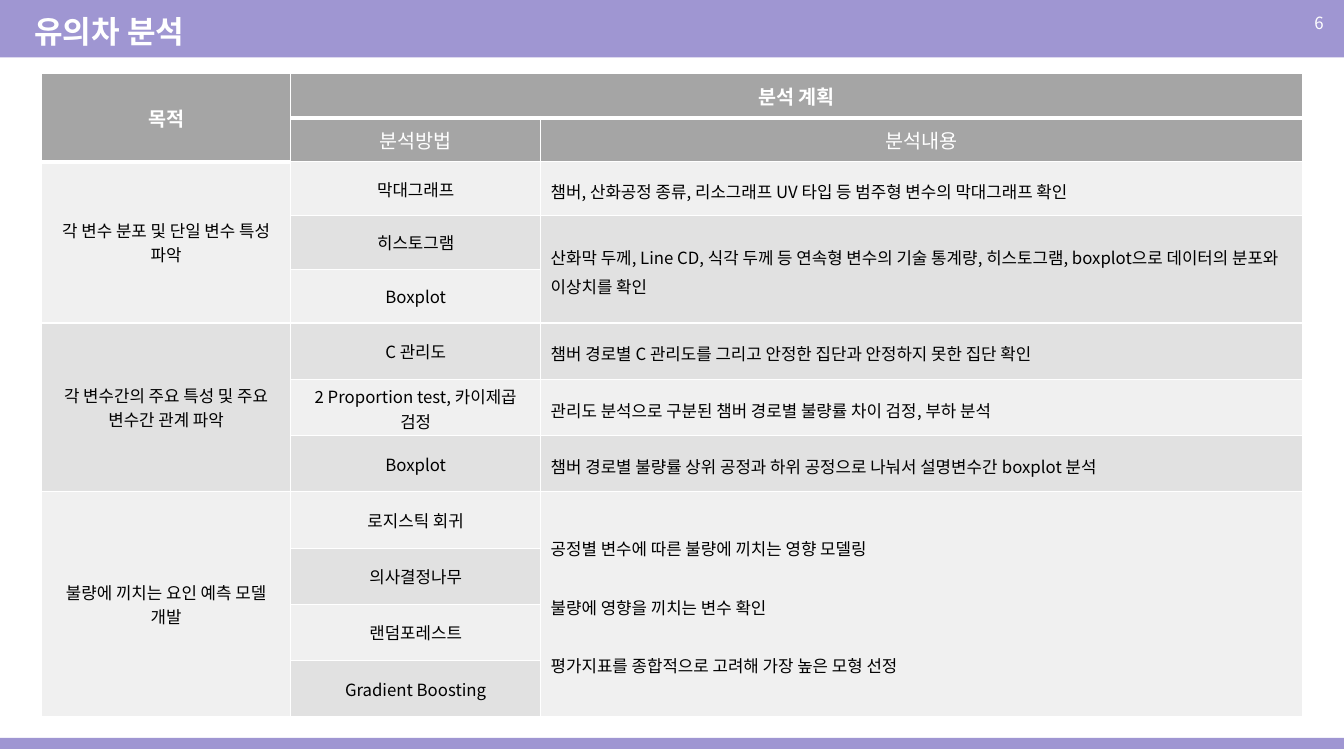
import pptx
import pptx.dml.color
import pptx.enum.text
import pptx.oxml
import pptx.oxml.ns
import pptx.util
from lxml import etree

Pt = pptx.util.Pt
ALIGN = pptx.enum.text.PP_ALIGN
ANCHOR = pptx.enum.text.MSO_ANCHOR
qn = pptx.oxml.ns.qn

FONT = "Noto Sans CJK KR"
PURPLE, WHITE, BLACK = "9F96D2", "FFFFFF", "000000"
GRAY, STRIPES = "A5A5A5", ("F0F0F0", "E1E1E1")

COLUMNS = (178, 178.5, 544.3)
ROWS = (31.5,) * 2 + (38.4,) * 3 + (40.2,) * 7
HEADERS = {
    (0, 0, 2, 1): "목적",
    (0, 1, 1, 2): "분석 계획",
    (1, 1, 1, 1): "분석방법",
    (1, 2, 1, 1): "분석내용",
}
PURPOSES = {
    (2, 0, 3, 1): "각 변수 분포 및 단일 변수 특성 파악",
    (5, 0, 3, 1): "각 변수간의 주요 특성 및 주요 변수간 관계 파악",
    (8, 0, 4, 1): "불량에 끼치는 요인 예측 모델 개발",
}
METHODS = (
    "막대그래프", "히스토그램", "Boxplot", "C 관리도",
    "2 Proportion test, 카이제곱 검정", "Boxplot", "로지스틱 회귀",
    "의사결정나무", "랜덤포레스트", "Gradient Boosting",
)
DETAILS = {
    (2, 2, 1, 1): ["챔버, 산화공정 종류, 리소그래프 UV 타입 등 범주형 변수의 막대그래프 확인"],
    (3, 2, 2, 1): ["산화막 두께, Line CD, 식각 두께 등 연속형 변수의 기술 통계량, "
                   "히스토그램, boxplot으로 데이터의 분포와 이상치를 확인"],
    (5, 2, 1, 1): ["챔버 경로별 C 관리도를 그리고 안정한 집단과 안정하지 못한 집단 확인"],
    (6, 2, 1, 1): ["관리도 분석으로 구분된 챔버 경로별 불량률 차이 검정, 부하 분석"],
    (7, 2, 1, 1): ["챔버 경로별 불량률 상위 공정과 하위 공정으로 나눠서 설명변수간 boxplot 분석"],
    (8, 2, 4, 1): ["공정별 변수에 따른 불량에 끼치는 영향 모델링",
                   "불량에 영향을 끼치는 변수 확인",
                   "평가지표를 종합적으로 고려해 가장 높은 모형 선정"],
}


def rgb(value):
    return pptx.dml.color.RGBColor.from_string(value)


def apply(obj, values):
    for name, value in values.items():
        setattr(obj, name, value)


def write(tf, lines, size, color, bold=False, gap=0, **paragraph):
    for i, line in enumerate(lines):
        p = tf.add_paragraph() if i else tf.paragraphs[0]
        apply(p, paragraph)
        if i:
            p.space_before = Pt(gap)
        r = p.add_run()
        r.text = line
        apply(r.font, {"name": FONT, "size": Pt(size), "bold": bold})
        r.font.color.rgb = rgb(color)
        r.font._element.get_or_add_latin().addnext(
            pptx.oxml.parse_xml(f'<a:ea {pptx.oxml.ns.nsdecls("a")} typeface="{FONT}"/>'))


def add_band(s, left, top, width, height):
    sp = s.shapes.add_shape(1, Pt(left), Pt(top), Pt(width), Pt(height))
    sp.shadow.inherit = False
    sp.fill.solid()
    sp.fill.fore_color.rgb = rgb(PURPLE)
    sp.line.fill.background()
    return sp


def add_header(s, left, top, width, height):
    band = add_band(s, left, top, width, height)
    title = s.shapes.title
    title.element.addprevious(band.element)
    apply(title, {"left": Pt(left + 17.3), "top": Pt(top + 11.5),
                  "width": Pt(width - 101), "height": Pt(27.4)})
    apply(title.text_frame, {"vertical_anchor": ANCHOR.MIDDLE, "word_wrap": True,
                             "auto_size": pptx.enum.text.MSO_AUTO_SIZE.NONE})
    write(title.text_frame, ["유의차 분석"], 22.2, WHITE, True,
          alignment=ALIGN.LEFT, line_spacing=0.7)
    number = s.shapes.add_textbox(Pt(left + width - 223.4), Pt(top + 5.8), Pt(216), Pt(28.8))
    number.text_frame.word_wrap = True
    write(number.text_frame, ["6"], 12, WHITE, alignment=ALIGN.RIGHT)


def add_borders(cell, bottom):
    tcPr = cell._tc.get_or_add_tcPr()
    for i, side in enumerate(("lnL", "lnR", "lnT", "lnB")):
        ln = etree.Element(qn(f"a:{side}"), w=str(Pt(bottom if side == "lnB" else 1)))
        fill = etree.SubElement(ln, qn("a:solidFill"))
        etree.SubElement(fill, qn("a:srgbClr"), val=WHITE)
        tcPr.insert(i, ln)


def fill_cell(table, place, lines, **text):
    row, col, height, width = place
    cell = table.cell(row, col)
    if height * width > 1:
        cell.merge(table.cell(row + height - 1, col + width - 1))
    cell.vertical_anchor = ANCHOR.MIDDLE
    write(cell.text_frame, lines, **text)


def add_plan_table(s, left, top, width, height):
    table = s.shapes.add_table(len(ROWS), len(COLUMNS), Pt(left), Pt(top),
                               Pt(width), Pt(height)).table
    for column, size in zip(table.columns, COLUMNS):
        column.width = Pt(size)
    for row, size in zip(table.rows, ROWS):
        row.height = Pt(size)
    for i, row in enumerate(table.rows):
        for j, cell in enumerate(row.cells):
            cell.fill.solid()
            cell.fill.fore_color.rgb = rgb(GRAY if i < 2 else STRIPES[i % 2])
            add_borders(cell, 3 if i == 0 or (i, j) == (1, 0) else 1)
    for place, label in HEADERS.items():
        fill_cell(table, place, [label], size=14, color=WHITE, bold=place[0] == 0,
                  alignment=ALIGN.CENTER)
    methods = {(i, 1, 1, 1): label for i, label in enumerate(METHODS, 2)}
    for place, label in (PURPOSES | methods).items():
        fill_cell(table, place, [label], size=12, color=BLACK, alignment=ALIGN.CENTER)
    for place, lines in DETAILS.items():
        fill_cell(table, place, lines, size=12, color=BLACK, gap=21,
                  alignment=ALIGN.LEFT, line_spacing=1.2)


def main():
    prs = pptx.Presentation()
    apply(prs, {"slide_width": Pt(960), "slide_height": Pt(540)})
    s = prs.slides.add_slide(prs.slide_layouts[5])
    add_header(s, 0, 0, 960, 41)
    add_band(s, 0, 527, 960, 7.9)
    add_plan_table(s, 29.7, 52.6, sum(COLUMNS), sum(ROWS))
    prs.save("out.pptx")


if __name__ == "__main__":
    main()
